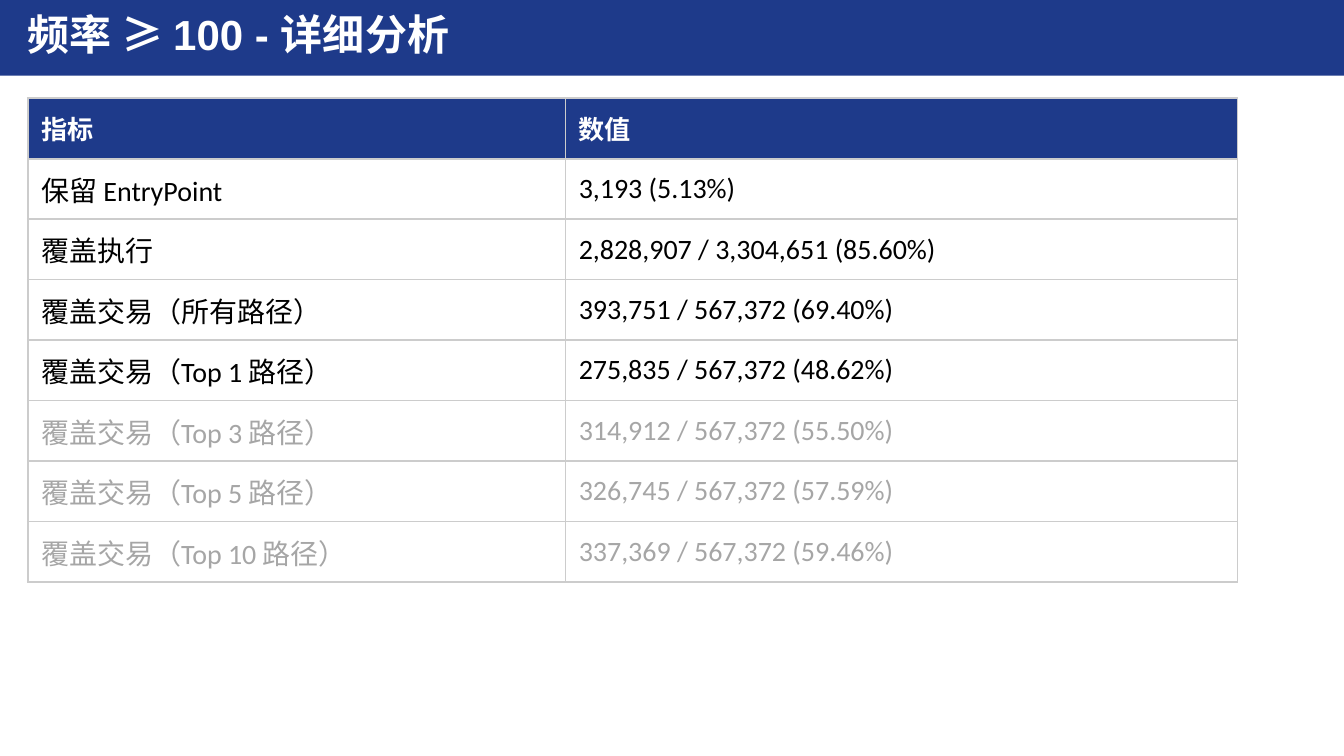
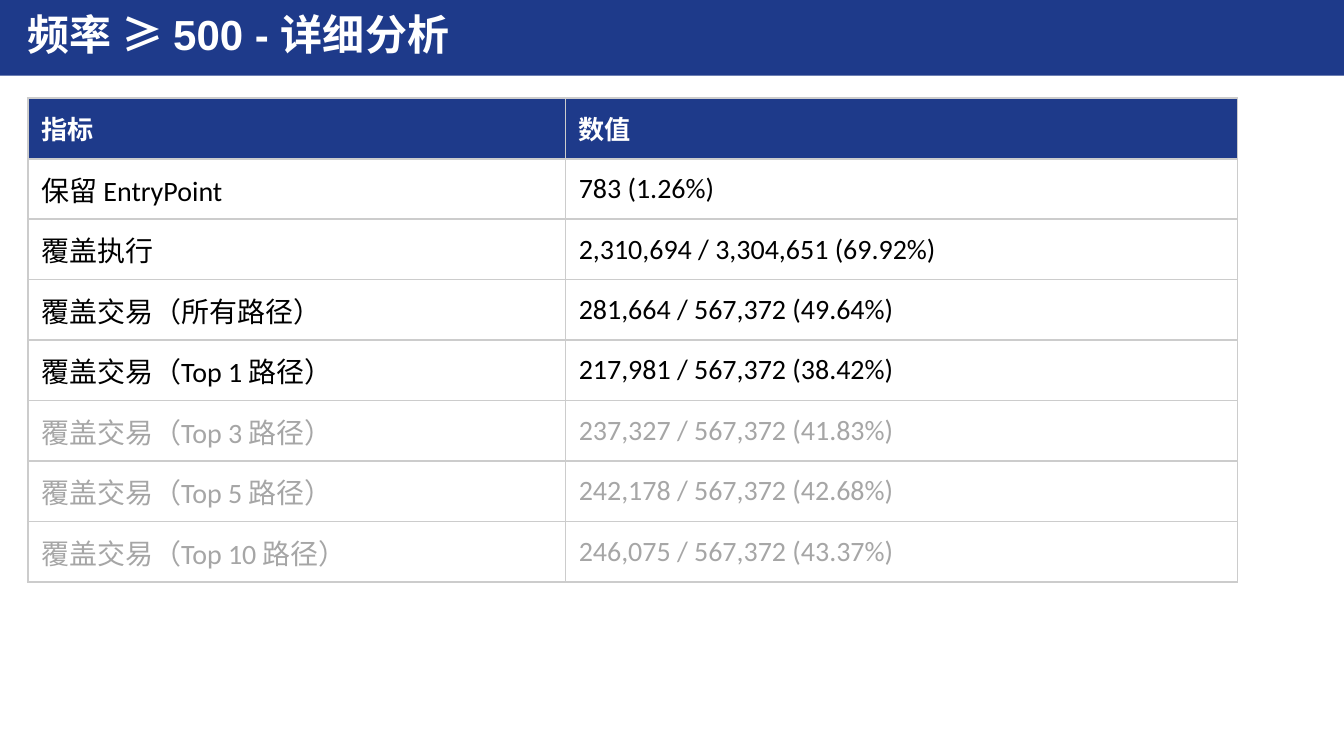
from lxml import etree
from pptx import Presentation
from pptx.dml.color import RGBColor
from pptx.enum.shapes import MSO_SHAPE
from pptx.enum.text import MSO_ANCHOR, MSO_AUTO_SIZE, PP_ALIGN
from pptx.oxml.ns import qn
from pptx.util import Emu, Pt

# Content
HEADER = ("指标", "数值")
METRICS = (
    "保留 EntryPoint",
    "覆盖执行",
    "覆盖交易（所有路径）",
    "覆盖交易（Top 1 路径）",
    "覆盖交易（Top 3 路径）",
    "覆盖交易（Top 5 路径）",
    "覆盖交易（Top 10 路径）",
)
FIRST_MUTED_ROW = 5
EXECUTIONS, TRANSACTIONS = "3,304,651", "567,372"
TOTALS = (None, EXECUTIONS) + (TRANSACTIONS,) * 5
ANALYSES = {
    100: (
        ("3,193", "5.13%"),
        ("2,828,907", "85.60%"),
        ("393,751", "69.40%"),
        ("275,835", "48.62%"),
        ("314,912", "55.50%"),
        ("326,745", "57.59%"),
        ("337,369", "59.46%"),
    ),
    500: (
        ("783", "1.26%"),
        ("2,310,694", "69.92%"),
        ("281,664", "49.64%"),
        ("217,981", "38.42%"),
        ("237,327", "41.83%"),
        ("242,178", "42.68%"),
        ("246,075", "43.37%"),
    ),
}

# Shared look; lengths in px, 160 to the inch
COLORS = {
    "navy": "1E3A8A",
    "white": "FFFFFF",
    "black": "000000",
    "muted": "A6A6A6",
    "grid": "CCCCCC",
}
SLIDE = (1600, 900)
BAND = (0, 0, 1600, 90)
TITLE = (33, 20, 784, 50)
TABLE = (33, 117, 1533, 717)
COLUMNS = (640, 800)
ROW_HEIGHT = 72
TITLE_FONT = {"name": "Arial", "size": Pt(22.5), "bold": True}
HEADER_FONT = {"name": "Calibri", "size": Pt(14), "bold": True}
BODY_FONT = {"name": "Calibri", "size": Pt(15), "bold": False}
TITLE_FRAME = {
    "margin_left": 0,
    "margin_top": 0,
    "margin_right": 0,
    "margin_bottom": 0,
    "word_wrap": True,
    "auto_size": MSO_AUTO_SIZE.NONE,
    "vertical_anchor": MSO_ANCHOR.TOP,
}
TITLE_PARAGRAPH = {"alignment": PP_ALIGN.LEFT, "line_spacing": Pt(22.5)}


def px(length):
    return Emu(length * 5715)


def rgb(color):
    return RGBColor.from_string(COLORS[color])


def apply(target, values):
    for name, value in values.items():
        setattr(target, name, value)


def place(shape, box):
    apply(shape, dict(zip(("left", "top", "width", "height"), map(px, box))))


def write(paragraph, text, font, color):
    run = paragraph.add_run()
    run.text = text
    apply(run.font, font)
    run.font.color.rgb = rgb(color)


def paint(shape_or_cell, color):
    shape_or_cell.fill.solid()
    shape_or_cell.fill.fore_color.rgb = rgb(color)


def add_heading(slide, text):
    title = slide.shapes.title
    place(title, TITLE)
    apply(title.text_frame, TITLE_FRAME)
    paragraph = title.text_frame.paragraphs[0]
    apply(paragraph, TITLE_PARAGRAPH)
    write(paragraph, text, TITLE_FONT, "white")

    # The band lies behind the title
    band = slide.shapes.add_shape(MSO_SHAPE.RECTANGLE, *map(px, BAND))
    band.shadow.inherit = False
    paint(band, "navy")
    band.line.fill.background()
    title.element.addprevious(band.element)


def add_borders(cell):
    properties = cell._tc.get_or_add_tcPr()
    for index, side in enumerate(("lnL", "lnR", "lnT", "lnB")):
        line = etree.Element(qn(f"a:{side}"), w=str(Pt(1)))
        fill = etree.SubElement(line, qn("a:solidFill"))
        etree.SubElement(fill, qn("a:srgbClr"), val=COLORS["grid"])
        properties.insert(index, line)


def add_metrics(slide, rows):
    frame = slide.shapes.add_table(len(rows), len(COLUMNS), *map(px, TABLE))
    table = frame.table
    apply(table, {"first_row": False, "horz_banding": False})
    for column, width in zip(table.columns, COLUMNS):
        column.width = px(width)
    for number, (row, texts) in enumerate(zip(table.rows, rows)):
        row.height = px(ROW_HEIGHT)
        for cell, text in zip(row.cells, texts):
            cell.vertical_anchor = MSO_ANCHOR.MIDDLE
            paragraph = cell.text_frame.paragraphs[0]
            if number == 0:
                paint(cell, "navy")
                write(paragraph, text, HEADER_FONT, "white")
            else:
                cell.fill.background()
                color = "muted" if number >= FIRST_MUTED_ROW else "black"
                write(paragraph, text, BODY_FONT, color)
            add_borders(cell)
    place(frame, TABLE)


def value_text(count, share, total):
    return f"{count} / {total} ({share})" if total else f"{count} ({share})"


def main():
    deck = Presentation()
    deck.slide_width, deck.slide_height = map(px, SLIDE)
    title_only = deck.slide_layouts.get_by_name("Title Only")
    for threshold, results in ANALYSES.items():
        slide = deck.slides.add_slide(title_only)
        add_heading(slide, f"频率 ≥ {threshold} - 详细分析")
        values = [value_text(*result, total) for result, total in zip(results, TOTALS)]
        add_metrics(slide, [HEADER, *zip(METRICS, values)])
    deck.save("out.pptx")


if __name__ == "__main__":
    main()
